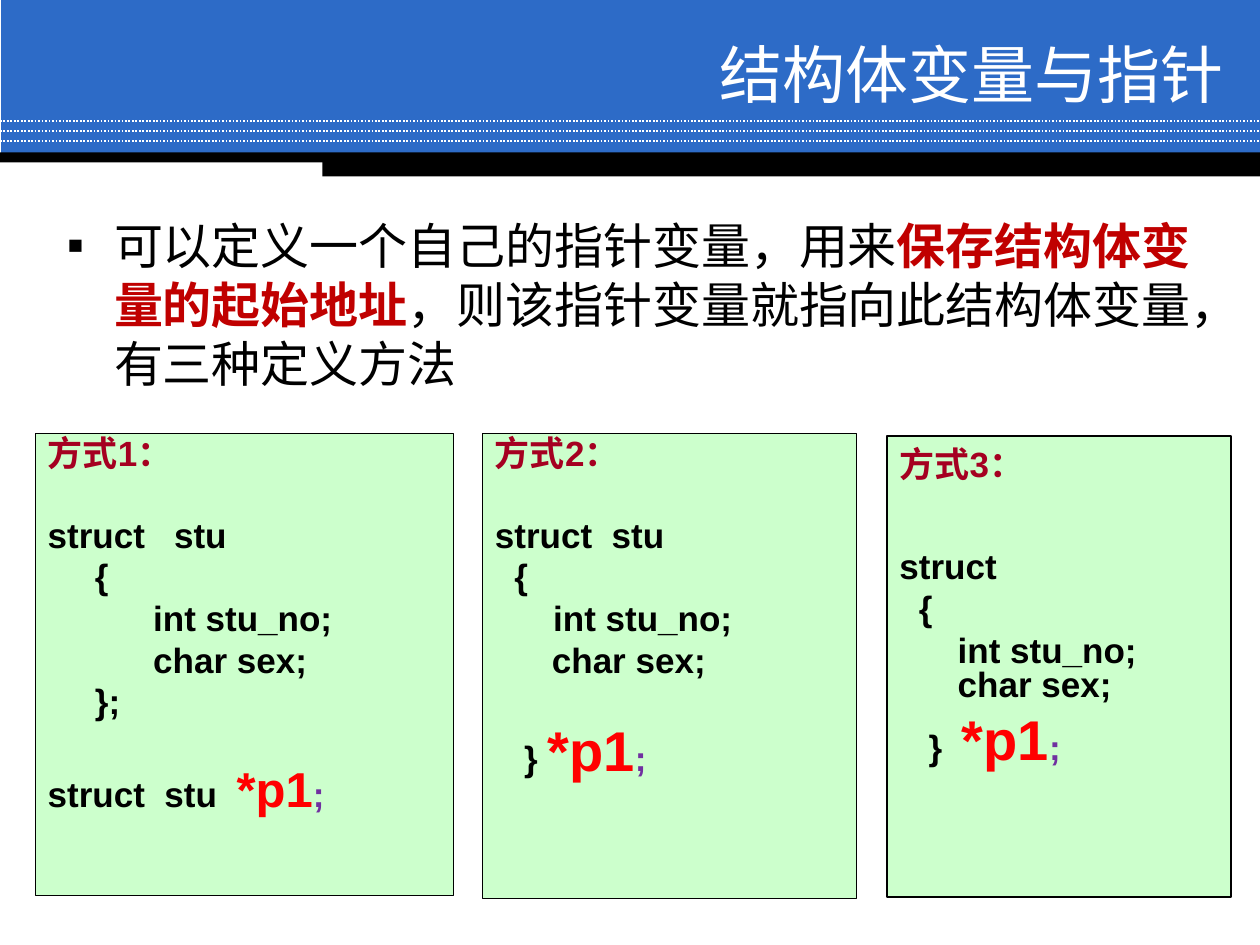
"""Build a slide on three ways to define a pointer to a C structure."""
from lxml import etree
from pptx import Presentation
from pptx import util as u
from pptx.dml.color import RGBColor
from pptx.enum import dml, shapes, text
from pptx.oxml.ns import qn

BLUE = RGBColor(0x2D, 0x6B, 0xC7)
BLACK = RGBColor(0, 0, 0)
WHITE = RGBColor(0xFF, 0xFF, 0xFF)
GREEN = RGBColor(0xCC, 0xFF, 0xCC)
WINE = RGBColor(0xA5, 0x00, 0x21)
CRIMSON = RGBColor(0xC0, 0x00, 0x00)
RED = RGBColor(0xFF, 0, 0)
PURPLE = RGBColor(0x70, 0x30, 0xA0)

prs = Presentation()
prs.slide_width, prs.slide_height = u.Inches(10), u.Inches(7.5)
cell = prs.slide_width // 100
hang = int(3.75 * cell)
s = prs.slides.add_slide(prs.slide_layouts[1])
title, body = s.placeholders


def add_rect(x, y, w, h, fill):
    sp = s.shapes.add_shape(shapes.MSO_SHAPE.RECTANGLE, *(int(v * cell) for v in (x, y, w, h)))
    sp.shadow.inherit = False
    sp.fill.solid()
    sp.fill.fore_color.rgb = fill
    sp.line.fill.background()
    return sp


def add_run(p, words, size, color, bold=False, font="Arial"):
    r = p.add_run()
    r.text = words
    r.font.size, r.font.bold, r.font.name = u.Pt(size), bold, font
    r.font.color.rgb = color


add_rect(0.1, 0, 99.9, 12.3, BLUE)
for row in (9.6, 10.4, 11.2):
    y = int(row * cell)
    ln = s.shapes.add_connector(shapes.MSO_CONNECTOR.STRAIGHT, 0, y, prs.slide_width, y)
    ln.line.color.rgb = WHITE
    ln.line.width = u.Pt(1)
    ln.line.dash_style = dml.MSO_LINE.ROUND_DOT
    etree.SubElement(ln._element.spPr, qn("a:effectLst"))
add_rect(0, 12.1, 100, 0.8, BLACK)
add_rect(25.6, 12.4, 74.4, 1.6, BLACK)

for sp, box in ((title, (28.9, 2.9, 69.2, 5.8)), (body, (4.3, 16.6, 91.3, 17.8))):
    sp.left, sp.top, sp.width, sp.height = (int(v * cell) for v in box)
    sp.text_frame.auto_size = text.MSO_AUTO_SIZE.NONE
    s.shapes._spTree.append(sp._element)

title.text_frame.vertical_anchor = text.MSO_ANCHOR.MIDDLE
p = title.text_frame.paragraphs[0]
p.alignment = text.PP_ALIGN.RIGHT
add_run(p, "结构体变量与指针", 36, WHITE, font="Noto Sans CJK SC")

p = body.text_frame.paragraphs[0]
pPr = p._p.get_or_add_pPr()
pPr.set("marL", str(hang))
pPr.set("indent", str(-hang))
etree.SubElement(pPr, qn("a:buChar"), char="▪")
p.space_before = u.Pt(0)
add_run(p, "可以定义一个自己的指针变量，用来", 28, BLACK)
add_run(p, "保存结构体变量的起始地址", 28, CRIMSON, True)
add_run(p, "，则该指针变量就指向此结构体变量，", 28, BLACK)
add_run(p, "有三种定义方法", 28, BLACK, font="Times New Roman")

TIGHT, GAP = 4.6, 27.5
panels = [
    ((2.8, 34.4, 33.2, 36.7), "方式1：", hang, 28, [
        ("struct   stu", GAP, 0.8), ("\t{", TIGHT, 0.8), ("\t      int stu_no;", TIGHT, 0.8),
        ("\t      char sex;", TIGHT, 0.8), ("\t};", TIGHT, 0.8), ("struct  stu  ", GAP, 0.8)]),
    ((38.3, 34.4, 29.7, 36.9), "方式2：", hang, 32, [
        ("struct  stu", GAP, 0.8), ("  {", TIGHT, 0.8), ("      int stu_no;", TIGHT, 0.8),
        ("\t char sex;", TIGHT, 0.8), ("   } ", GAP, 0.8)]),
    ((70.4, 34.6, 27.3, 36.6), "方式3：", 0, 32, [
        ("struct", 34.5, 1.0), ("  {", 0, 1.0), ("      int stu_no;", 0, 1.0),
        ("      char sex;", 0, 0.8), ("   }  ", 0, 1.0)]),
]
for box, heading, indent, size, code in panels:
    sp = add_rect(*box, GREEN)
    sp.line.color.rgb = BLACK
    sp.line.width = u.Pt(0.75)
    tf = sp.text_frame
    tf.word_wrap = True
    tf.vertical_anchor = text.MSO_ANCHOR.TOP
    for i, (words, before, spacing) in enumerate([(heading, 0, code[0][2])] + code):
        p = tf.paragraphs[0] if i == 0 else tf.add_paragraph()
        p.alignment = text.PP_ALIGN.LEFT
        p.line_spacing, p.space_before = spacing, u.Pt(before)
        pPr = p._p.get_or_add_pPr()
        pPr.set("marL", str(indent))
        pPr.set("indent", str(-indent))
        add_run(p, words, 20, BLACK if i else WINE, True)
    add_run(p, "*p1", size, RED, True)
    add_run(p, ";", 20, PURPLE, True)

prs.save("out.pptx")
